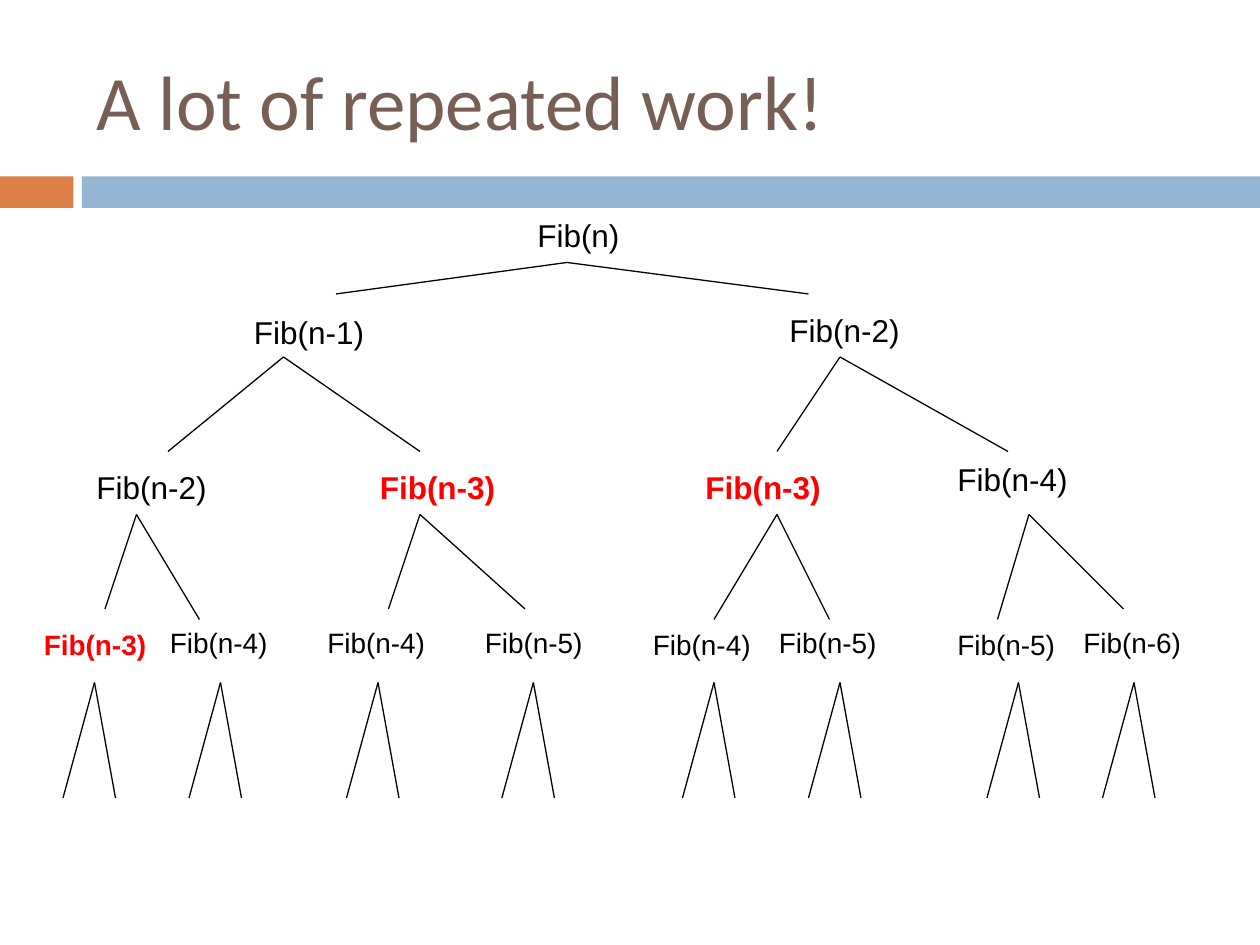
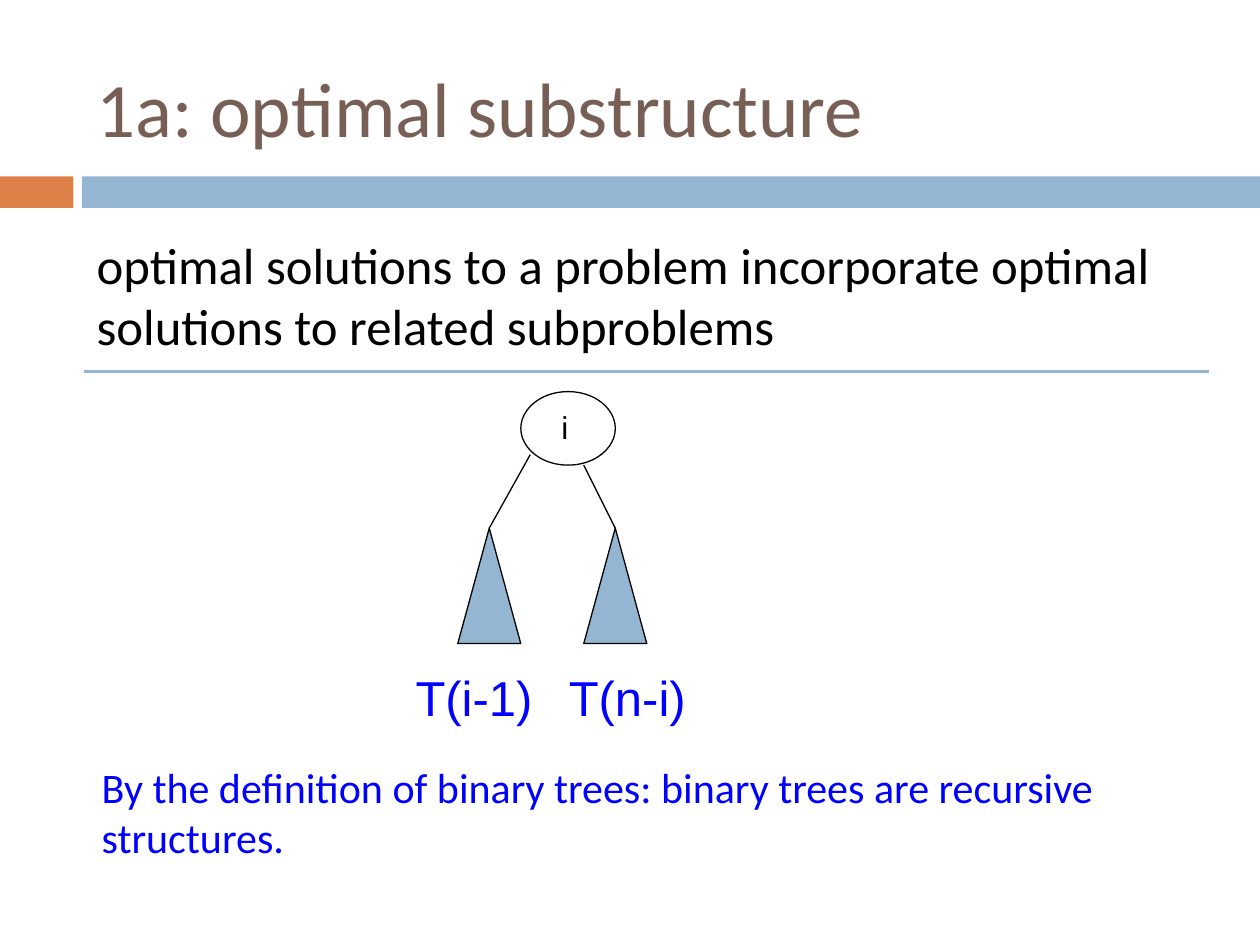
"""Builds two slides on recursion: the Fibonacci call tree and optimal substructure."""
import pptx
import pptx.util
import pptx.dml.color
import pptx.enum.shapes
import pptx.enum.text
import pptx.oxml.ns
import lxml.etree

PX = 7620
COLORS = {"title": "775F55", "accent": "DD8047", "band": "94B6D2",
          "text": "000000", "repeat": "FF0000", "note": "0000FF"}
SHAPES = pptx.enum.shapes.MSO_SHAPE

BANDS = [("accent", (0, 168, 70, 30)), ("band", (78, 168, 1122, 30))]

CALL_TITLE = "A lot of repeated work!"
REPEATED = "Fib(n-3)"
# label, left, top, width, fork apex, ends of the two branches
CALLS = [
    ("Fib(n)", 500, 200, 120, (540, 250), [(320, 280), (770, 280)]),
    ("Fib(n-1)", 230, 292, 160, (270, 340), [(160, 430), (400, 430)]),
    ("Fib(n-2)", 740, 290, 160, (800, 340), [(740, 430), (960, 430)]),
    ("Fib(n-2)", 80, 440, 160, (130, 490), [(100, 580), (190, 590)]),
    ("Fib(n-3)", 350, 440, 160, (400, 490), [(370, 580), (500, 580)]),
    ("Fib(n-3)", 660, 440, 160, (740, 490), [(680, 590), (790, 590)]),
    ("Fib(n-4)", 900, 432, 160, (980, 490), [(950, 590), (1070, 580)]),
]
LAST_CALLS = [
    ("Fib(n-3)", 30, 592, 130, 90), ("Fib(n-4)", 150, 590, 120, 210),
    ("Fib(n-4)", 300, 590, 120, 360), ("Fib(n-5)", 450, 590, 120, 508),
    ("Fib(n-4)", 610, 592, 140, 680), ("Fib(n-5)", 730, 590, 120, 800),
    ("Fib(n-5)", 900, 592, 120, 970), ("Fib(n-6)", 1020, 590, 120, 1080),
]
FORK_TOP, FORK_BOTTOM, FORK_LEFT, FORK_RIGHT = 650, 760, 30, 20

SUB_TITLE = "1a: optimal substructure"
SUB_BODY = "optimal solutions to a problem incorporate optimal solutions to related subproblems"
SUB_NOTE = "By the definition of binary trees: binary trees are recursive structures."
ROOT_LABEL, ROOT_BOX = "i", (523, 383, 72, 48)
ROOT_OVAL = (496, 373, 90, 70)
SUBTREE_TOP, SUBTREE_W, SUBTREE_H = 503, 60, 110
# label, label box, apex x, start of the line from the root
SUBTREES = [("T(i-1)", (384, 630, 140, 68), 466, (505, 433)),
            ("T(n-i)", (530, 630, 170, 68), 586, (556, 443))]


def emu(values):
    return [pptx.util.Emu(v * PX) for v in values]


def rgb(name):
    return pptx.dml.color.RGBColor.from_string(COLORS[name])


def write(tf, text, size, color="text", font="Arial", bold=False):
    p = tf.paragraphs[0]
    p.alignment = pptx.enum.text.PP_ALIGN.LEFT
    p.space_before = pptx.util.Pt(0)
    r = p.add_run()
    r.text = text
    r.font.size = pptx.util.Pt(size)
    r.font.name = font
    r.font.bold = bold
    r.font.color.rgb = rgb(color)
    return p


def fill_placeholder(sp, box, text, size, color):
    sp.left, sp.top, sp.width, sp.height = emu(box)
    sp.text_frame.auto_size = pptx.enum.text.MSO_AUTO_SIZE.NONE
    return write(sp.text_frame, text, size, color, "Calibri")


def add_text(shapes, box, text, size, color="text", font="Arial", bold=False):
    tf = shapes.add_textbox(*emu(box)).text_frame
    tf.word_wrap = True
    tf.auto_size = pptx.enum.text.MSO_AUTO_SIZE.SHAPE_TO_FIT_TEXT
    write(tf, text, size, color, font, bold)


def add_line(shapes, start, end, color="text", width=0.75):
    line = shapes.add_connector(pptx.enum.shapes.MSO_CONNECTOR.STRAIGHT, *emu(start + end))
    line.line.color.rgb = rgb(color)
    line.line.width = pptx.util.Pt(width)
    lxml.etree.SubElement(line.element.spPr, pptx.oxml.ns.qn("a:effectLst"))


def add_shape(shapes, kind, box, fill=None, outline=None):
    sp = shapes.add_shape(kind, *emu(box))
    sp.shadow.inherit = False
    if fill:
        sp.fill.solid()
        sp.fill.fore_color.rgb = rgb(fill)
    else:
        sp.fill.background()
    if outline:
        sp.line.color.rgb = rgb(outline)
        sp.line.width = pptx.util.Pt(0.75)
    else:
        sp.line.fill.background()
    return sp


def add_slide(prs, layout, title, title_top):
    s = prs.slides.add_slide(prs.slide_layouts.get_by_name(layout))
    fill_placeholder(s.shapes.title, (80, title_top, 1070, 130), title, 44, "title")
    return s


def move_bands_to_master(prs, s):
    for i, (color, box) in enumerate(BANDS):
        band = add_shape(s.shapes, SHAPES.RECTANGLE, box, color)
        band.element.nvSpPr.cNvPr.set("id", str(20 + i))
        prs.slide_master.shapes.element.insert(2 + i, band.element)


def draw_call_tree(shapes):
    forks = []
    for label, left, top, width, apex, ends in CALLS:
        forks.append((label, (left, top, width, 48), 18, apex, ends))
    for label, left, top, width, x in LAST_CALLS:
        ends = [(x - FORK_LEFT, FORK_BOTTOM), (x + FORK_RIGHT, FORK_BOTTOM)]
        forks.append((label, (left, top, width, 44), 16, (x, FORK_TOP), ends))
    for label, box, size, apex, ends in forks:
        repeated = label == REPEATED
        add_text(shapes, box, label, size, "repeat" if repeated else "text", bold=repeated)
        for end in ends:
            add_line(shapes, apex, end)


def draw_substructure(s):
    body = s.placeholders[1]
    p = fill_placeholder(body, (80, 217, 1070, 137), SUB_BODY, 29, "text")
    pPr = p._p.get_or_add_pPr()
    pPr.set("marL", "0")
    pPr.set("indent", "0")
    lxml.etree.SubElement(pPr, pptx.oxml.ns.qn("a:buNone"))
    add_line(s.shapes, (80, 354), (1151, 354), "band", 1.5)
    add_text(s.shapes, (85, 719, 1066, 109), SUB_NOTE, 24, "note", "Calibri")

    tree = s.shapes.add_group_shape().shapes
    add_text(tree, ROOT_BOX, ROOT_LABEL, 18)
    add_shape(tree, SHAPES.OVAL, ROOT_OVAL, outline="text")
    for label, box, x, start in SUBTREES:
        add_line(tree, start, (x, SUBTREE_TOP))
        triangle = (x - SUBTREE_W // 2, SUBTREE_TOP, SUBTREE_W, SUBTREE_H)
        add_shape(tree, SHAPES.ISOSCELES_TRIANGLE, triangle, "band", "text")
        add_text(s.shapes, box, label, 28, "note")


def main():
    prs = pptx.Presentation()
    prs.slide_width, prs.slide_height = emu((1200, 900))
    s = add_slide(prs, "Title Only", CALL_TITLE, 30)
    move_bands_to_master(prs, s)
    draw_call_tree(s.shapes)
    draw_substructure(add_slide(prs, "Title and Content", SUB_TITLE, 37))
    prs.save("out.pptx")


if __name__ == "__main__":
    main()
